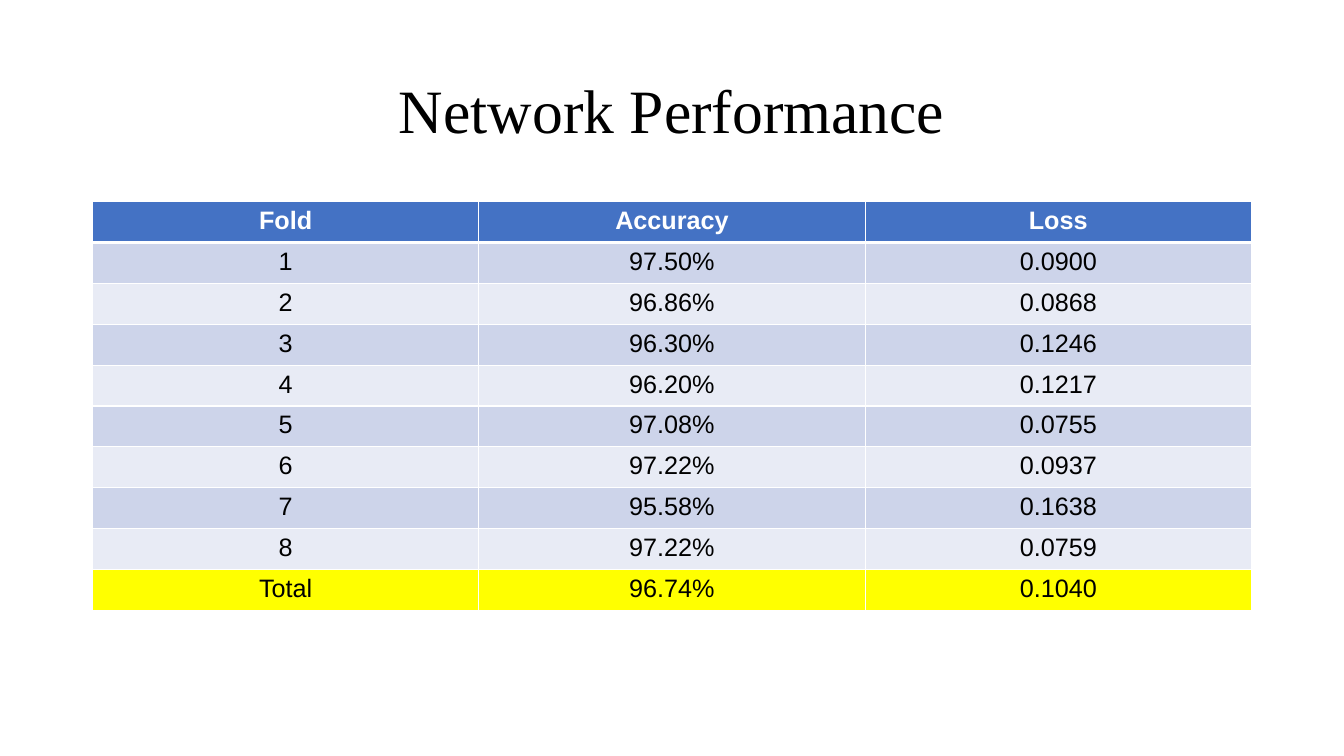
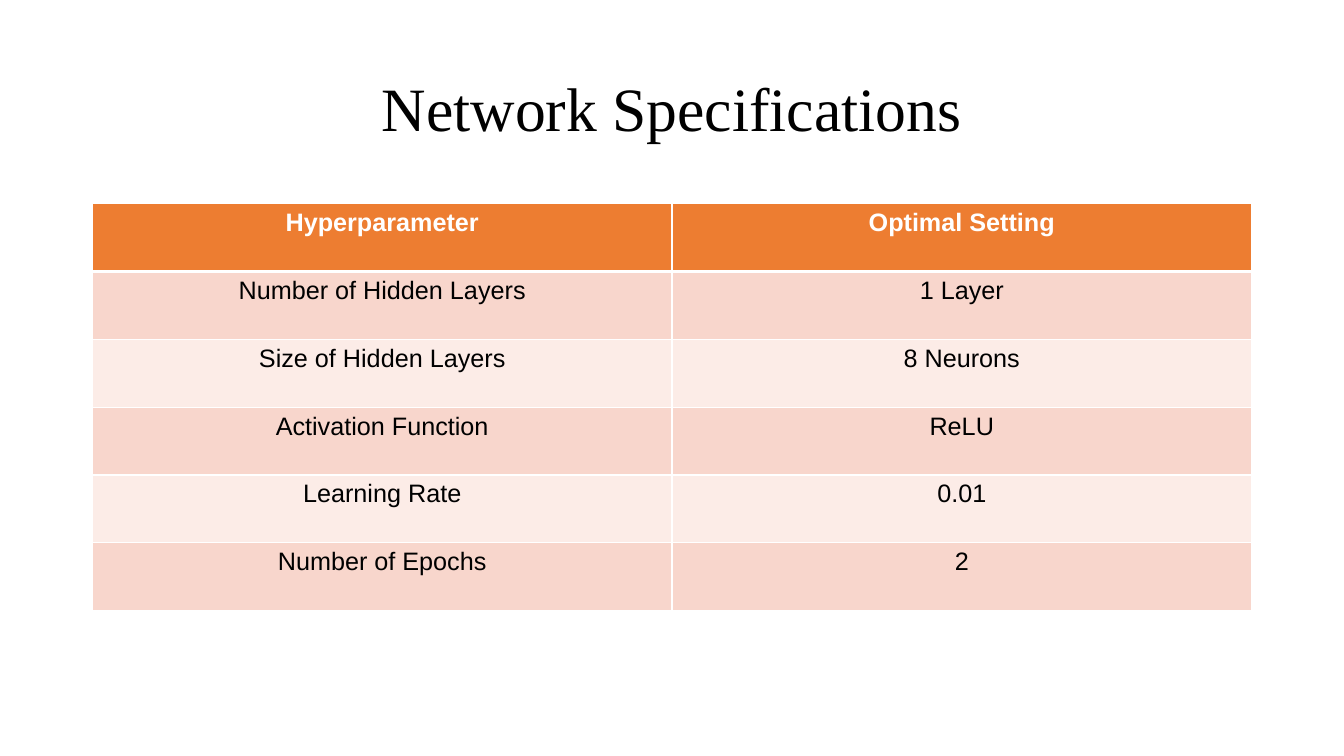
from dataclasses import dataclass

from lxml import etree
from pptx import Presentation
from pptx.dml.color import RGBColor
from pptx.enum.text import MSO_ANCHOR, PP_ALIGN
from pptx.oxml.ns import qn
from pptx.util import Cm, Pt

CENTER = PP_ALIGN.CENTER
MIDDLE = MSO_ANCHOR.MIDDLE
BLANK = 6


@dataclass(frozen=True)
class Palette:
    header: str
    bands: tuple


@dataclass(frozen=True)
class Theme:
    title_font: str = "Times New Roman"
    body_font: str = "Arial"
    title_size: int = 44
    body_size: int = 18
    text: str = "000000"
    white: str = "FFFFFF"
    highlight: str = "FFFF00"
    blue: Palette = Palette("4472C4", ("CDD4EA", "E8EBF5"))
    orange: Palette = Palette("ED7D31", ("F8D6CC", "FCECE7"))
    thin: int = 1
    thick: int = 3


class Deck:
    LEFT, WIDTH = Cm(2.33), Cm(29.21)
    TITLE_HEIGHT = Cm(3.68)

    def __init__(self, theme):
        self.theme = theme
        self.prs = Presentation()
        self.prs.slide_width, self.prs.slide_height = Cm(33.87), Cm(19.05)
        self.s = None

    def add_slide(self):
        self.s = self.prs.slides.add_slide(self.prs.slide_layouts[BLANK])

    def style(self, p, font, size, color, bold=False):
        p.alignment = CENTER
        p.font.name, p.font.size, p.font.bold = font, Pt(size), bold
        p.font.color.rgb = RGBColor.from_string(color)

    def add_title(self, text, top):
        box = self.s.shapes.add_textbox(self.LEFT, top, self.WIDTH, self.TITLE_HEIGHT)
        tf = box.text_frame
        tf.word_wrap, tf.vertical_anchor = True, MIDDLE
        p = tf.paragraphs[0]
        p.text, p.line_spacing = text, 0.9
        self.style(p, self.theme.title_font, self.theme.title_size, self.theme.text)

    def add_borders(self, cell, row):
        """Draw thin rules, with a thick one between the header and the body."""
        t = self.theme
        tc_pr = cell._tc.get_or_add_tcPr()
        widths = {
            "a:lnL": t.thin,
            "a:lnR": t.thin,
            "a:lnT": t.thick if row == 1 else t.thin,
            "a:lnB": t.thick if row == 0 else t.thin,
        }
        for tag, width in widths.items():
            ln = etree.SubElement(tc_pr, qn(tag), w=str(Pt(width)))
            fill = etree.SubElement(ln, qn("a:solidFill"))
            etree.SubElement(fill, qn("a:srgbClr"), val=t.white)

    def add_table(self, rows, palette, top, height, has_total=False):
        t = self.theme
        table = self.s.shapes.add_table(
            len(rows), len(rows[0]), self.LEFT, top, self.WIDTH, height).table
        for i, values in enumerate(rows):
            is_header = i == 0
            if is_header:
                color = palette.header
            elif has_total and i == len(rows) - 1:
                color = t.highlight
            else:
                color = palette.bands[(i - 1) % 2]
            for j, value in enumerate(values):
                cell = table.cell(i, j)
                self.add_borders(cell, i)
                cell.fill.solid()
                cell.fill.fore_color.rgb = RGBColor.from_string(color)
                p = cell.text_frame.paragraphs[0]
                p.text = value
                self.style(p, t.body_font, t.body_size,
                           t.white if is_header else t.text, bold=is_header)


PERFORMANCE = [
    ("Fold", "Accuracy", "Loss"),
    ("1", "97.50%", "0.0900"),
    ("2", "96.86%", "0.0868"),
    ("3", "96.30%", "0.1246"),
    ("4", "96.20%", "0.1217"),
    ("5", "97.08%", "0.0755"),
    ("6", "97.22%", "0.0937"),
    ("7", "95.58%", "0.1638"),
    ("8", "97.22%", "0.0759"),
    ("Total", "96.74%", "0.1040"),
]

SPECIFICATIONS = [
    ("Hyperparameter", "Optimal Setting"),
    ("Number of Hidden Layers", "1 Layer"),
    ("Size of Hidden Layers", "8 Neurons"),
    ("Activation Function", "ReLU"),
    ("Learning Rate", "0.01"),
    ("Number of Epochs", "2"),
]


def main():
    theme = Theme()
    deck = Deck(theme)

    deck.add_slide()
    deck.add_title("Network Performance", Cm(1.01))
    deck.add_table(PERFORMANCE, theme.blue, Cm(5.08), Cm(10.3), has_total=True)

    deck.add_slide()
    deck.add_title("Network Specifications", Cm(0.97))
    deck.add_table(SPECIFICATIONS, theme.orange, Cm(5.13), Cm(10.26))

    deck.prs.save("out.pptx")


if __name__ == "__main__":
    main()
